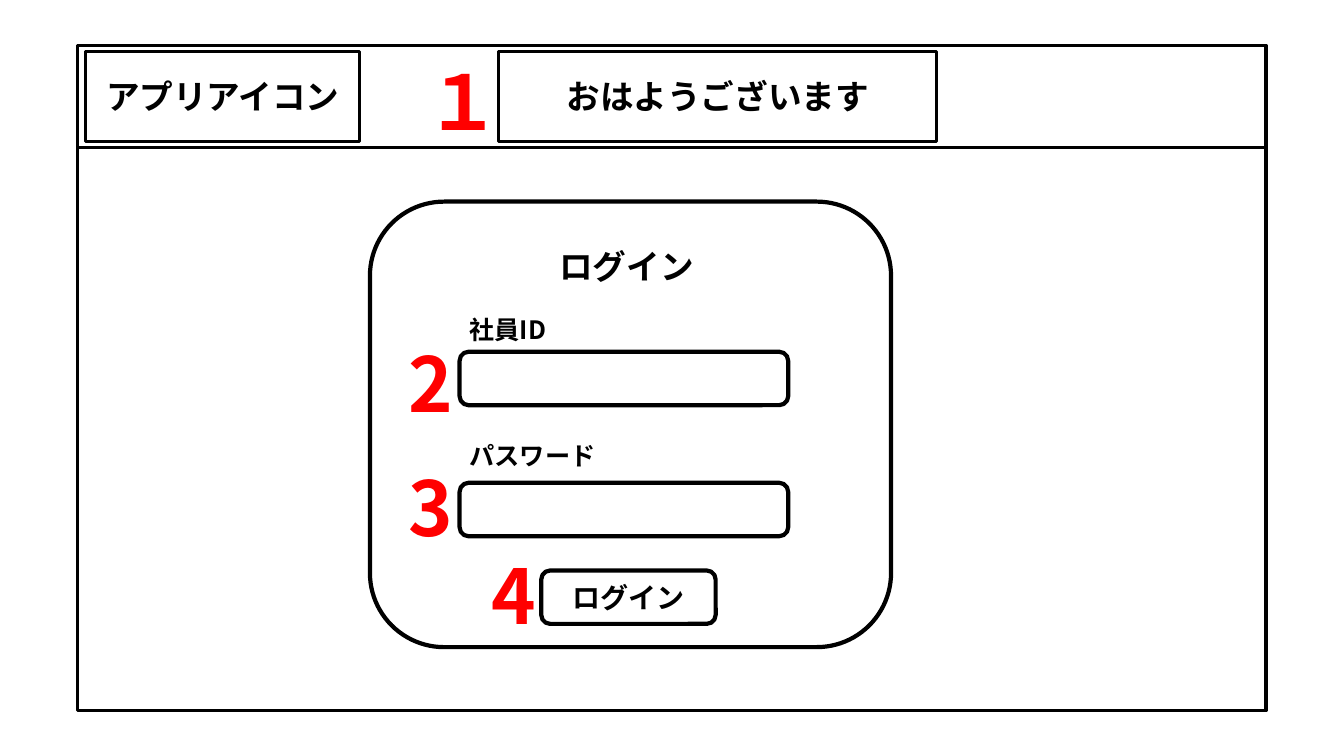
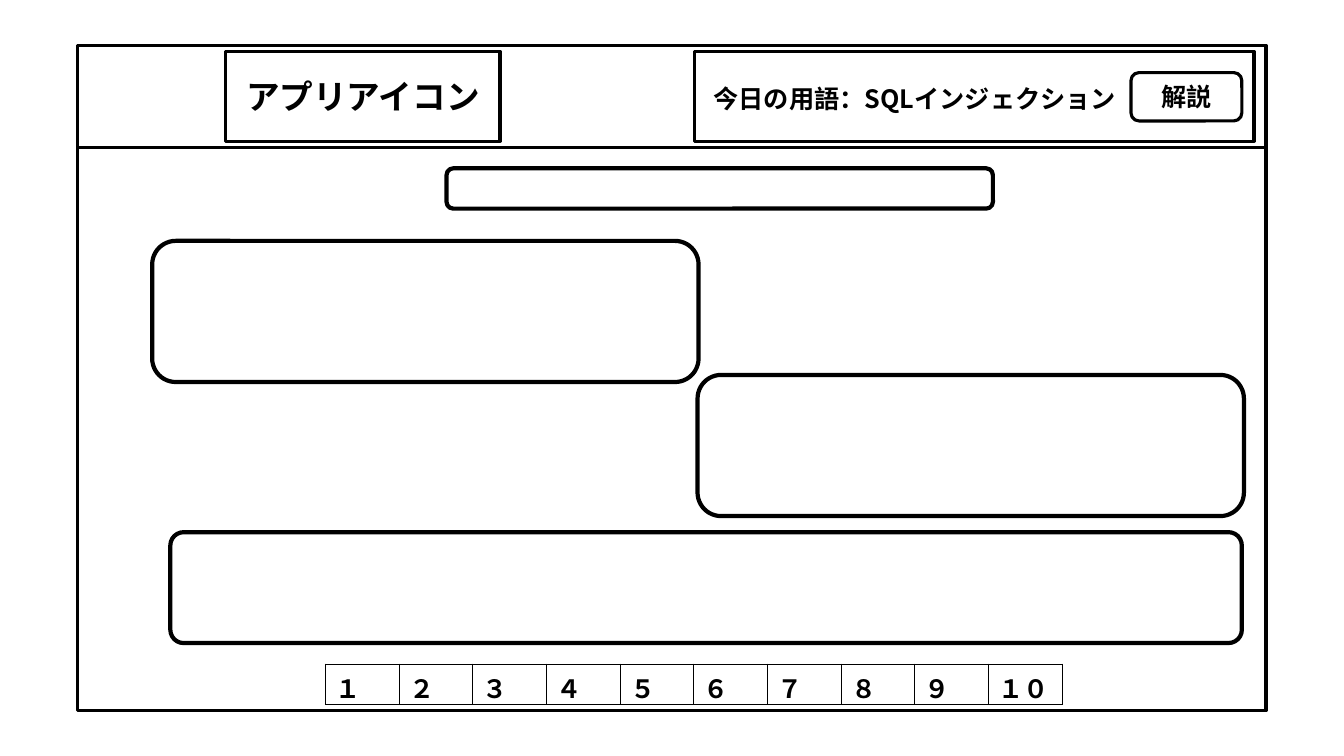
from dataclasses import dataclass

from lxml import etree
from pptx import Presentation
from pptx import util as u
from pptx.dml.color import RGBColor
from pptx.enum import shapes as kinds, text as t
from pptx.oxml import ns

# Shared style
BLACK = RGBColor(0x00, 0x00, 0x00)
WHITE = RGBColor(0xFF, 0xFF, 0xFF)
RED = RGBColor(0xFF, 0x00, 0x00)
FONT = "Noto Sans CJK JP"
THIN, THICK = 2.25, 3
RECTANGLE = kinds.MSO_SHAPE.RECTANGLE
ROUNDED = kinds.MSO_SHAPE.ROUNDED_RECTANGLE

# Grid: ten columns or rows to the inch
GRID = u.Inches(0.1)


@dataclass
class Box:
    left: float
    top: float
    width: float
    height: float

    def inner(self, left, top, width, height):
        """A box placed relative to this one."""
        return Box(self.left + left, self.top + top, width, height)

    def lengths(self):
        return [u.Emu(round(cells * GRID)) for cells in
                (self.left, self.top, self.width, self.height)]


SLIDE = Box(0, 0, 133.33, 75)
FRAME = SLIDE.inner(7.7, 4.5, 117.9, 66)
HEADER = FRAME.inner(0, 0, FRAME.width, 10.1)


# Building blocks
def write(frame, text, size=18, color=BLACK, align=t.PP_ALIGN.LEFT):
    paragraph = frame.paragraphs[0]
    paragraph.alignment = align
    run = paragraph.add_run()
    run.text = text
    run.font.size = u.Pt(size)
    run.font.bold = True
    run.font.color.rgb = color
    run.font.name = FONT
    etree.SubElement(run.font._element, ns.qn("a:ea"), typeface=FONT)


def add_outline(shapes, box, kind=ROUNDED, line=THICK, text="", size=24,
                corner=None):
    shape = shapes.add_shape(kind, *box.lengths())
    shape.shadow.inherit = False
    shape.fill.background()
    shape.line.color.rgb = BLACK
    shape.line.width = u.Pt(line)
    if corner is not None:
        shape.adjustments[0] = corner
    if text:
        shape.text_frame.vertical_anchor = t.MSO_ANCHOR.MIDDLE
        write(shape.text_frame, text, size, align=t.PP_ALIGN.CENTER)


def add_label(shapes, box, text, **style):
    frame = shapes.add_textbox(*box.lengths()).text_frame
    frame.word_wrap = True
    frame.auto_size = t.MSO_AUTO_SIZE.SHAPE_TO_FIT_TEXT
    write(frame, text, **style)


def add_number(shapes, parent, left, top, text):
    add_label(shapes, parent.inner(left, top, 8.8, 10.1), text,
              size=54, color=RED, align=t.PP_ALIGN.CENTER)


def header_slot(left, width):
    return HEADER.inner(left, 0.6, width, 8.9)


# Window frame shared by both screens
def add_window(shapes, icon_left):
    add_outline(shapes, FRAME, RECTANGLE, THIN)
    left, top, width, height = HEADER.lengths()
    divider = shapes.add_connector(kinds.MSO_CONNECTOR.STRAIGHT, left,
                                   top + height, left + width, top + height)
    divider.line.color.rgb = BLACK
    divider.line.width = u.Pt(THIN)
    etree.SubElement(divider._element.spPr, ns.qn("a:effectLst"))
    add_outline(shapes, header_slot(icon_left, 27.2), RECTANGLE, THIN,
                "アプリアイコン")


# Login screen
def add_login_panel(shapes, panel):
    add_outline(shapes, panel)
    add_label(shapes, panel.inner(17.8, 3.9, 16.7, 5), "ログイン", size=24)
    add_outline(shapes, panel.inner(17, 36.6, 17.3, 5.3), text="ログイン",
                size=20)
    fields = [("社員ID", 10.7, 14.9), ("パスワード", 23.2, 27.9)]
    for text, label_top, field_top in fields:
        add_outline(shapes, panel.inner(8.9, field_top, 32.6, 5.3))
        add_label(shapes, panel.inner(8.9, label_top, 15.6, 4), text)
    for text, left, top in [("2", 1.6, 12.9), ("3", 1.6, 25.2),
                            ("4", 9.9, 34)]:
        add_number(shapes, panel, left, top, text)


def build_login(slide):
    add_window(slide.shapes, icon_left=0.8)
    add_outline(slide.shapes, header_slot(41.8, 43.4), RECTANGLE, THIN,
                "おはようございます")
    add_login_panel(slide.shapes, FRAME.inner(29, 15.5, 51.7, 44.2))
    add_number(slide.shapes, HEADER, 33.5, 0.5, "１")


# Main screen
def add_daily_term(shapes, box):
    group = shapes.add_group_shape().shapes
    add_outline(group, box, RECTANGLE, THIN)
    add_label(group, box.inner(0.9, 2.7, 45.8, 4),
              "今日の用語：SQLインジェクション")
    add_outline(group, box.inner(43.3, 2.1, 11, 4.8), line=THIN,
                text="解説", size=18)


def add_borders(cell):
    properties = cell._tc.get_or_add_tcPr()
    for position, side in enumerate(("lnL", "lnR", "lnT", "lnB")):
        line = etree.Element(ns.qn("a:" + side), w=str(u.Pt(1)))
        fill = etree.SubElement(line, ns.qn("a:solidFill"))
        etree.SubElement(fill, ns.qn("a:srgbClr"), val=str(BLACK))
        properties.insert(position, line)


def add_pager(shapes, box, pages):
    table = shapes.add_table(1, len(pages), *box.lengths()).table
    table.first_row = table.horz_banding = False
    for cell, page in zip(table.rows[0].cells, pages):
        cell.fill.solid()
        cell.fill.fore_color.rgb = WHITE
        add_borders(cell)
        write(cell.text_frame, page)


def build_main(slide):
    add_window(slide.shapes, icon_left=14.7)
    add_daily_term(slide.shapes, header_slot(61.2, 55.5))
    for left, top, height in [(36.6, 12.2, 4), (7.4, 19.4, 14),
                              (61.5, 32.7, 14)]:
        add_outline(slide.shapes, FRAME.inner(left, top, 54.2, height))
    add_outline(slide.shapes, FRAME.inner(9.2, 48.3, 106.3, 11), corner=0.12)
    add_pager(slide.shapes, FRAME.inner(24.6, 61.4, 73.1, 4),
              [*"１２３４５６７８９", "１０"])


# Presentation
presentation = Presentation()
presentation.slide_width, presentation.slide_height = SLIDE.lengths()[2:]
blank = presentation.slide_layouts[6]
for build in (build_login, build_main):
    build(presentation.slides.add_slide(blank))
presentation.save("out.pptx")
